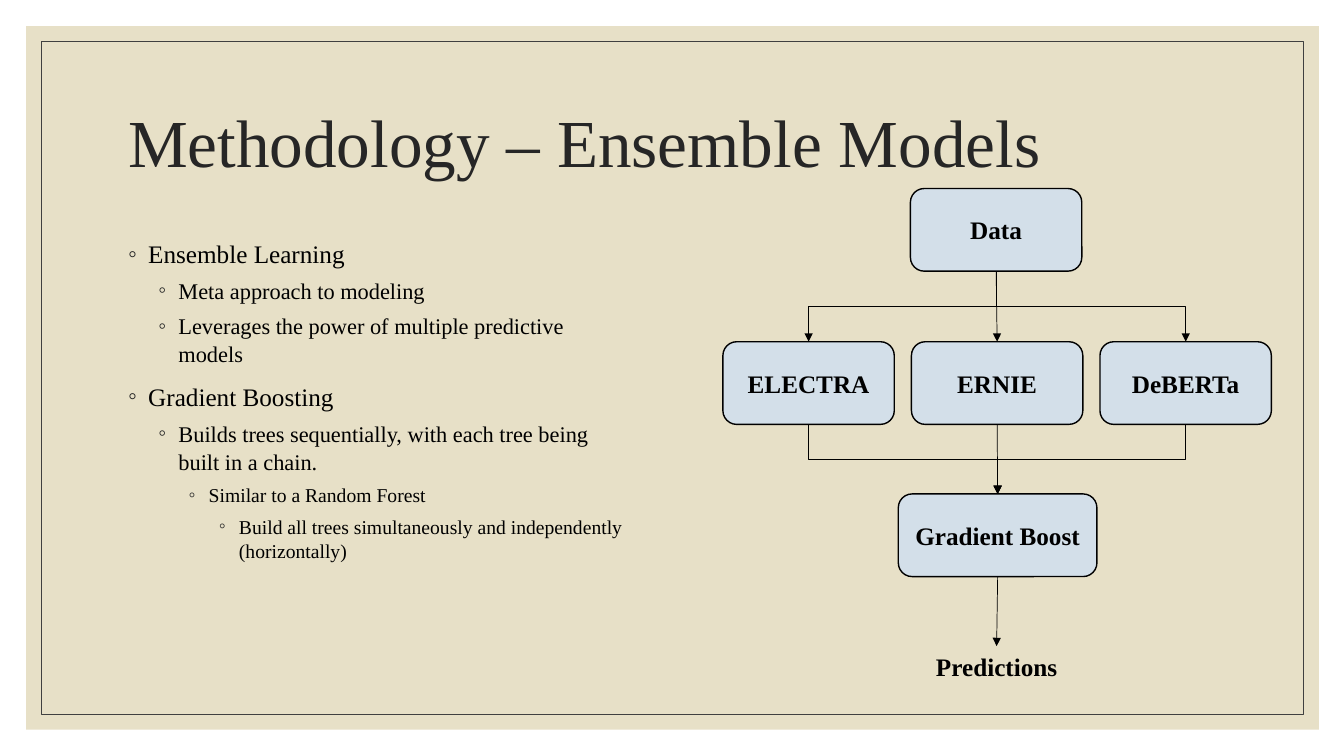
from dataclasses import dataclass

from lxml.etree import SubElement
from pptx import Presentation
from pptx.dml.color import RGBColor
from pptx.enum.shapes import MSO_CONNECTOR, MSO_SHAPE
from pptx.enum.text import MSO_ANCHOR, MSO_AUTO_SIZE, PP_ALIGN
from pptx.oxml.ns import qn
from pptx.util import Inches, Pt


@dataclass(frozen=True)
class Theme:
    face: str = "Times New Roman"
    ink: str = "000000"
    dark: str = "262626"
    rim: str = "404040"
    sand: str = "E7E0C7"
    ice: str = "D3DFE9"
    title: int = 48
    label: int = 18
    levels: tuple = (18, 16, 14, 14)


@dataclass(frozen=True)
class Node:
    name: str
    left: float
    top: float
    width: float = 1.7
    height: float = 0.82


@dataclass(frozen=True)
class Panel:
    inset: float
    width: float
    height: float
    fill: str = ""
    line: str = ""


@dataclass(frozen=True)
class Point:
    text: str
    level: int = 0


THEME = Theme()
MODELS = ("ELECTRA", "ERNIE", "DeBERTa")
PANELS = (
    Panel(0.26, 12.82, 6.98, fill=THEME.sand),
    Panel(0.41, 12.52, 6.68, line=THEME.rim),
)
POINTS = (
    Point("Ensemble Learning"),
    Point("Meta approach to modeling", 1),
    Point("Leverages the power of multiple predictive models", 1),
    Point("Gradient Boosting"),
    Point("Builds trees sequentially, with each tree being built in a chain.", 1),
    Point("Similar to a Random Forest", 2),
    Point("Build all trees simultaneously and independently (horizontally)", 3),
)


def apply(target, values: dict) -> None:
    for name, value in values.items():
        setattr(target, name, value)


def place(shape, left: float, top: float, width: float, height: float) -> None:
    sides = dict(left=left, top=top, width=width, height=height)
    apply(shape, {name: Inches(size) for name, size in sides.items()})


def write(para, text: str, size: int, color: str, bold: bool = False) -> None:
    run = para.add_run()
    run.text = text
    apply(run.font, dict(name=THEME.face, size=Pt(size), bold=bold))
    run.font.color.rgb = RGBColor.from_string(color)


def paint(shape, fill: str, line: str, width: float) -> None:
    shape.shadow.inherit = False
    if fill:
        shape.fill.solid()
        shape.fill.fore_color.rgb = RGBColor.from_string(fill)
    else:
        shape.fill.background()
    if line:
        shape.line.color.rgb = RGBColor.from_string(line)
        shape.line.width = Pt(width)
    else:
        shape.line.fill.background()


def add_panel(slide, panel: Panel, depth: int) -> None:
    shape = slide.shapes.add_shape(
        MSO_SHAPE.RECTANGLE, *map(Inches, (panel.inset, panel.inset, panel.width, panel.height))
    )
    paint(shape, panel.fill, panel.line, 0.5)
    slide.shapes._spTree.insert(2 + depth, shape._element)


def add_label(shape, text: str) -> None:
    para = shape.text_frame.paragraphs[0]
    para.alignment = PP_ALIGN.CENTER
    write(para, text, THEME.label, THEME.ink, True)


def add_node(slide, node: Node):
    shape = slide.shapes.add_shape(
        MSO_SHAPE.ROUNDED_RECTANGLE, *map(Inches, (node.left, node.top, node.width, node.height))
    )
    paint(shape, THEME.ice, THEME.ink, 1)
    apply(shape.text_frame, dict(word_wrap=True, vertical_anchor=MSO_ANCHOR.MIDDLE))
    add_label(shape, node.name)
    return shape


def add_link(slide, start, end, bent: bool = False) -> None:
    kind = MSO_CONNECTOR.ELBOW if bent else MSO_CONNECTOR.STRAIGHT
    link = slide.shapes.add_connector(kind, 0, 0, 0, 0)
    link.begin_connect(start, 2)
    link.end_connect(end, 0)
    if bent:
        turn(link)
    link.line.color.rgb = RGBColor.from_string(THEME.ink)
    link.line.width = Pt(0.5)
    SubElement(link.line._get_or_add_ln(), qn("a:tailEnd"), type="triangle")
    SubElement(link._element.spPr, qn("a:effectLst"))


def turn(link) -> None:
    right = link.end_x > link.begin_x
    mid_x = (link.begin_x + link.end_x) // 2
    mid_y = (link.begin_y + link.end_y) // 2
    span, drop = abs(link.end_x - link.begin_x), link.end_y - link.begin_y
    apply(link, dict(left=mid_x - drop // 2, top=mid_y - span // 2, width=drop, height=span))
    frame = link._element.spPr.find(qn("a:xfrm"))
    frame.set("rot", str((270 if right else 90) * 60000))
    frame.set("flipH", "1" if right else "0")


def add_bullet(para, level: int) -> None:
    props = para._p.get_or_add_pPr()
    props.set("marL", str(Inches(0.2 + 0.3 * level)))
    props.set("indent", str(Inches(-0.2)))
    color = SubElement(props, qn("a:buClr"))
    SubElement(color, qn("a:srgbClr"), val=THEME.dark)
    SubElement(props, qn("a:buFont"), typeface=THEME.face)
    SubElement(props, qn("a:buChar"), char="◦")


def fill_title(shape) -> None:
    place(shape, 1.17, 0.7, 11, 1.5)
    frame = shape.text_frame
    apply(frame, dict(vertical_anchor=MSO_ANCHOR.MIDDLE, auto_size=MSO_AUTO_SIZE.NONE))
    para = frame.paragraphs[0]
    apply(para, dict(alignment=PP_ALIGN.LEFT, line_spacing=0.9))
    write(para, "Methodology – Ensemble Models", THEME.title, THEME.dark)


def fill_body(shape) -> None:
    place(shape, 1.17, 2.3, 5.2, 4.1)
    frame = shape.text_frame
    frame.auto_size = MSO_AUTO_SIZE.NONE
    for rank, point in enumerate(POINTS):
        para = frame.add_paragraph() if rank else frame.paragraphs[0]
        add_bullet(para, point.level)
        gap = (5 if point.level else 9) if rank else 0
        apply(para, dict(level=point.level, line_spacing=1.05, space_before=Pt(gap)))
        write(para, point.text, THEME.levels[point.level], THEME.ink)


def add_flow(slide) -> None:
    data = add_node(slide, Node("Data", 9.03, 1.87))
    models = [add_node(slide, Node(name, 7.17 + 1.87 * rank, 3.39))
              for rank, name in enumerate(MODELS)]
    boost = add_node(slide, Node("Gradient Boost", 8.91, 4.9, 1.97))
    result = slide.shapes.add_textbox(*map(Inches, (9.17, 6.41, 1.43, 0.4)))
    add_label(result, "Predictions")
    for rank, model in enumerate(models):
        add_link(slide, data, model, rank != 1)
        add_link(slide, model, boost, rank != 1)
    add_link(slide, boost, result)


def main() -> None:
    deck = Presentation()
    apply(deck, dict(slide_width=Inches(13.33), slide_height=Inches(7.5)))
    slide = deck.slides.add_slide(deck.slide_layouts[1])
    for depth, panel in enumerate(PANELS):
        add_panel(slide, panel, depth)
    fill_title(slide.shapes.title)
    fill_body(slide.placeholders[1])
    add_flow(slide)
    deck.save("out.pptx")


if __name__ == "__main__":
    main()
